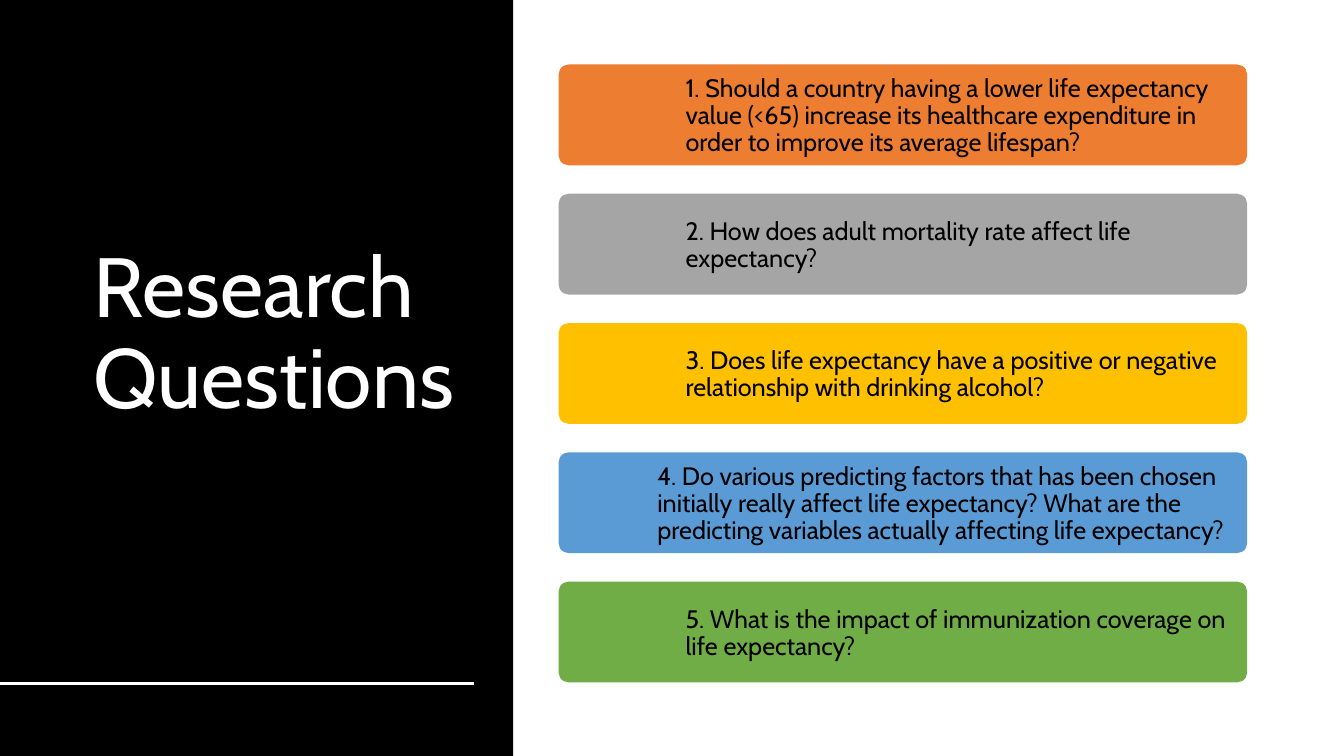
from pptx import Presentation
from pptx.dml.color import RGBColor
from pptx.enum import shapes, text
from pptx.oxml.ns import qn
from pptx.util import Inches, Pt

BLACK = RGBColor(0x00, 0x00, 0x00)
WHITE = RGBColor(0xFF, 0xFF, 0xFF)
ORANGE = RGBColor(0xED, 0x7D, 0x31)
GRAY = RGBColor(0xA5, 0xA5, 0xA5)
YELLOW = RGBColor(0xFF, 0xC0, 0x00)
BLUE = RGBColor(0x5B, 0x9B, 0xD5)
GREEN = RGBColor(0x70, 0xAD, 0x47)

QUESTIONS = [
    (ORANGE, 6.69, 5.66, "1. Should a country having a lower life expectancy value (<65) increase its healthcare expenditure in order to improve its average lifespan?"),
    (GRAY, 6.69, 5.66, "2. How does adult mortality rate affect life expectancy?"),
    (YELLOW, 6.69, 5.66, "3. Does life expectancy have a positive or negative relationship with drinking alcohol?"),
    (BLUE, 6.41, 6.22, "4. Do various predicting factors that has been chosen initially really affect life expectancy? What are the predicting variables actually affecting life expectancy?"),
    (GREEN, 6.69, 5.66, "5. What is the impact of immunization coverage on life expectancy?"),
]
TOP, PITCH = 0.64, 1.2825


def add_block(kind, left, top, width, height, color):
    sp = slide.shapes.add_shape(kind, Inches(left), Inches(top), Inches(width), Inches(height))
    sp.shadow.inherit = False
    sp.fill.solid()
    sp.fill.fore_color.rgb = color
    sp.line.fill.background()
    return sp


def write(sp, words, size, color, **frame):
    tf = sp.text_frame
    frame = {"word_wrap": True, "auto_size": text.MSO_AUTO_SIZE.NONE,
             "vertical_anchor": text.MSO_ANCHOR.MIDDLE, **frame}
    for name, value in frame.items():
        setattr(tf, name, value)
    p = tf.paragraphs[0]
    p.alignment = text.PP_ALIGN.LEFT
    p.line_spacing = 0.9
    p.space_before = Pt(0)
    r = p.add_run()
    r.text = words
    for name, value in {"name": "Cabin", "size": Pt(size)}.items():
        setattr(r.font, name, value)
    r.font.color.rgb = color


prs = Presentation()
prs.slide_width, prs.slide_height = Inches(13.33), Inches(7.5)
slide = prs.slides.add_slide(prs.slide_layouts[5])

panel = add_block(shapes.MSO_SHAPE.RECTANGLE, 0, 0, 5.09, 7.5, BLACK)
title = slide.shapes.title
title._element.addprevious(panel._element)
for name, value in {"left": 0.83, "top": 0.62, "width": 3.9, "height": 5.42}.items():
    setattr(title, name, Inches(value))
write(title, "Research Questions", 60, WHITE)

rule = slide.shapes.add_connector(shapes.MSO_CONNECTOR.STRAIGHT, 0, Inches(6.78), Inches(4.7), Inches(6.78))
rule.line.color.rgb = WHITE
rule.line.width = Pt(2)
props = rule._element.spPr
props.append(props.makeelement(qn("a:effectLst"), {}))

inset = Inches(0.11)
margins = {f"margin_{side}": inset for side in ("left", "top", "right", "bottom")}
for i, (color, left, width, words) in enumerate(QUESTIONS):
    top = TOP + i * PITCH
    bar = add_block(shapes.MSO_SHAPE.ROUNDED_RECTANGLE, 5.54, top, 6.83, 1, color)
    bar.adjustments[0] = 0.1
    label = slide.shapes.add_textbox(Inches(left), Inches(top), Inches(width), Inches(1.03))
    write(label, words, 18, BLACK, **margins)

prs.save("out.pptx")
